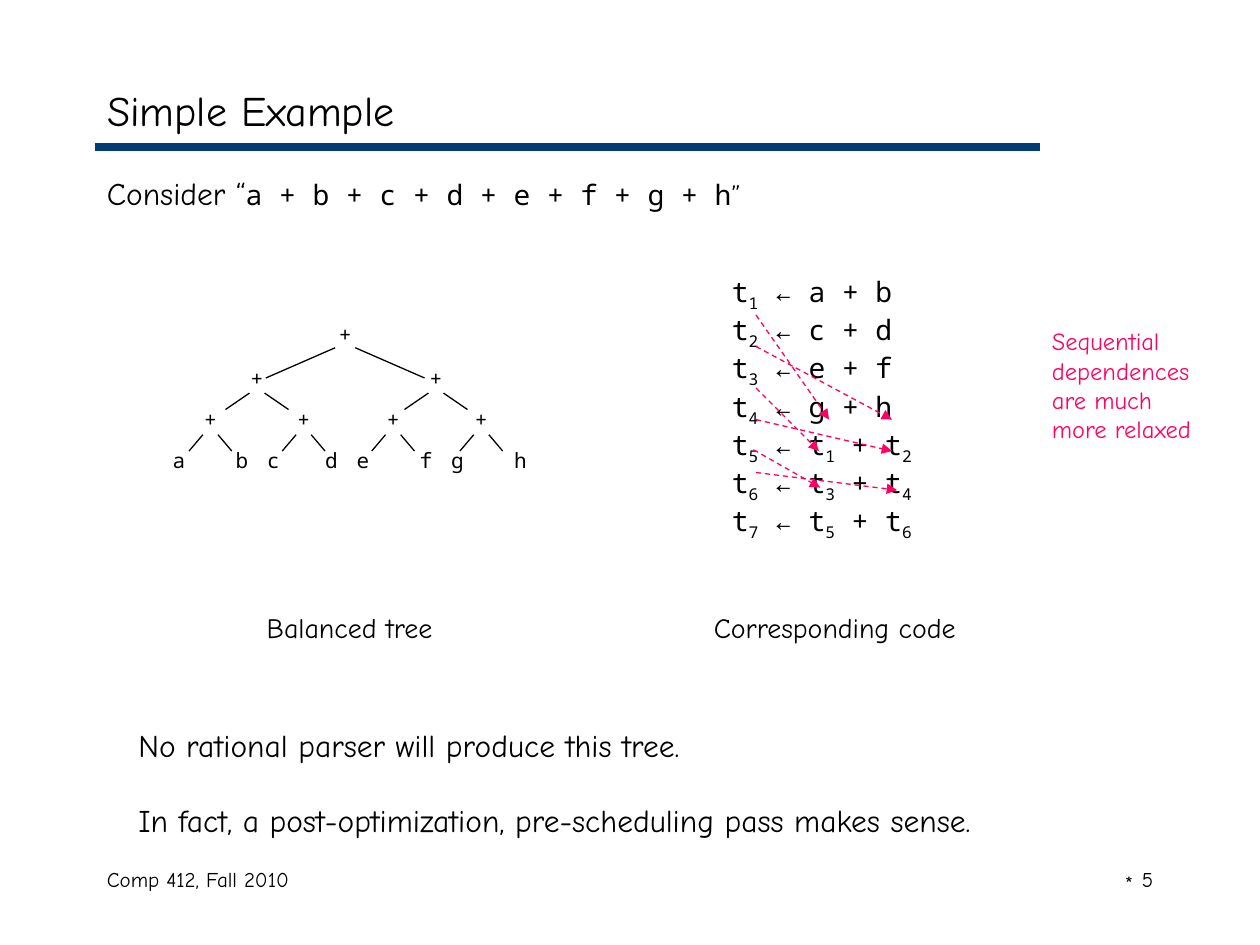
import itertools
from dataclasses import dataclass

import pptx
import pptx.dml.color
import pptx.enum.dml
import pptx.enum.shapes
import pptx.enum.text
import pptx.oxml
import pptx.oxml.ns
import pptx.util

Inches = pptx.util.Inches
Pt = pptx.util.Pt
ALIGN = pptx.enum.text.PP_ALIGN

COLORS = {"ink": "000000", "rule": "003C75", "dependence": "FF0065"}
PROSE, CODE = "Comic Neue", "Noto Sans Mono"


@dataclass
class Run:
    text: str
    size: float
    font: str = PROSE
    color: str = "ink"
    subscript: bool = False


@dataclass
class Line:
    start: tuple[float, float]
    end: tuple[float, float]
    color: str = "ink"
    width: float = 0.75
    arrow: bool = False


@dataclass
class TreeLevel:
    top: float
    centers: list[float]
    labels: str


@dataclass
class Branches:
    """Edges below one level: offsets from the parent's center, and heights."""
    start: float
    reach: float
    top: float
    bottom: float


def rgb(name: str) -> pptx.dml.color.RGBColor:
    return pptx.dml.color.RGBColor.from_string(COLORS[name])


def format_run(run, style: Run) -> None:
    run.font.name = style.font
    run.font.size = Pt(style.size)
    run.font.color.rgb = rgb(style.color)
    if style.subscript:
        run.font._element.set("baseline", "-25000")


def add_text(shapes, box: tuple[float, float, float, float],
             paragraphs: list[list[Run]], align=ALIGN.LEFT, gap: float = 0) -> None:
    frame = shapes.add_textbox(*map(Inches, box)).text_frame
    frame.word_wrap = True
    for index, runs in enumerate(paragraphs):
        paragraph = frame.add_paragraph() if index else frame.paragraphs[0]
        paragraph.alignment = align
        if index and gap:
            paragraph.space_before = Pt(gap)
        for style in runs:
            run = paragraph.add_run()
            run.text = style.text
            format_run(run, style)


def add_line(shapes, line: Line) -> None:
    connector = shapes.add_connector(
        pptx.enum.shapes.MSO_CONNECTOR.STRAIGHT,
        *map(Inches, line.start + line.end))
    connector.line.color.rgb = rgb(line.color)
    connector.line.width = Pt(line.width)
    if line.arrow:
        connector.line.dash_style = pptx.enum.dml.MSO_LINE.DASH
        namespace = pptx.oxml.ns.nsdecls("a")
        connector.line._get_or_add_ln().append(pptx.oxml.parse_xml(
            f'<a:tailEnd {namespace} type="triangle"/>'))
    properties = connector._element.spPr
    properties.append(properties.makeelement(pptx.oxml.ns.qn("a:effectLst"), {}))


def add_title(slide, text: str) -> None:
    title = slide.shapes.title
    title.left, title.top, title.width, title.height = map(
        Inches, (0.75, 0.58, 8.5, 0.58))
    frame = title.text_frame
    frame.text = text
    frame.vertical_anchor = pptx.enum.text.MSO_ANCHOR.MIDDLE
    frame.paragraphs[0].alignment = ALIGN.LEFT
    format_run(frame.paragraphs[0].runs[0], Run(text, 24))


def code_runs(statement: str) -> list[Run]:
    """Digits in a statement are the subscripts of temporaries."""
    return [Run("".join(part), 16, CODE, subscript=is_digit)
            for is_digit, part in itertools.groupby(statement, str.isdigit)]


def add_tree(shapes, levels: list[TreeLevel], branches: list[Branches]) -> None:
    label_width = 0.33
    for level in levels:
        for center, label in zip(level.centers, level.labels):
            add_text(shapes, (center - label_width / 2, level.top, label_width, 0.3),
                     [[Run(label, 12, CODE)]], ALIGN.CENTER)
    for level, branch in zip(levels, branches):
        for center, side in itertools.product(level.centers, (-1, 1)):
            add_line(shapes, Line((center + side * branch.start, branch.top),
                                  (center + side * branch.reach, branch.bottom)))


TREE_LEVELS = [
    TreeLevel(2.5, [2.74], "+"),
    TreeLevel(2.85, [2.04, 3.46], "++"),
    TreeLevel(3.18, [1.67, 2.41, 3.12, 3.82], "++++"),
    TreeLevel(3.5, [1.42, 1.92, 2.17, 2.63, 2.88, 3.38, 3.63, 4.13], "abcdefgh"),
]
TREE_BRANCHES = [
    Branches(0.08, 0.63, 2.76, 3),
    Branches(0.06, 0.25, 3.12, 3.25),
    Branches(0.06, 0.17, 3.45, 3.58),
]
STATEMENTS = [
    "t1 ← a + b",
    "t2 ← c + d",
    "t3 ← e + f",
    "t4 ← g + h",
    "t5 ← t1 + t2",
    "t6 ← t3 + t4",
    "t7 ← t5 + t6",
]
DEPENDENCES = [
    ((6, 2.5), (6.58, 3.33)),
    ((6, 2.75), (7.08, 3.33)),
    ((6, 3.08), (6.5, 3.58)),
    ((6, 3.33), (7.08, 3.58)),
    ((5.98, 3.57), (6.51, 3.87)),
    ((6, 3.75), (7.12, 3.89)),
]


def main() -> None:
    presentation = pptx.Presentation()
    presentation.slide_width, presentation.slide_height = Inches(10), Inches(7.5)
    slide = presentation.slides.add_slide(presentation.slide_layouts[5])
    shapes = slide.shapes

    # Heading and footer
    add_line(shapes, Line((0.75, 1.17), (8.25, 1.17), "rule", 4.5))
    add_title(slide, "Simple Example")
    add_text(shapes, (0.75, 6.83, 3.17, 0.5), [[Run("Comp 412, Fall 2010", 12)]])
    add_text(shapes, (7.17, 6.83, 2.08, 0.5), [[Run("5", 12)]], ALIGN.RIGHT)
    add_text(shapes, (8.83, 6.86, 0.83, 0.3), [[Run("*", 12)]])

    # Expression and conclusions
    add_text(shapes, (0.75, 1.33, 6.5, 0.4), [[
        Run("Consider “", 18),
        Run("a + b + c + d + e + f + g + h", 16, CODE),
        Run("”", 16)]])
    add_text(shapes, (1, 5.71, 8.17, 1), [
        [Run("No rational parser will produce this tree.", 18)],
        [Run("In fact, a post-optimization, pre-scheduling pass makes sense.", 18)],
    ], gap=21.5)

    # Balanced tree and its code
    add_tree(shapes.add_group_shape().shapes, TREE_LEVELS, TREE_BRANCHES)
    add_text(shapes, (5.71, 2.13, 1.83, 2.22), [code_runs(s) for s in STATEMENTS])
    for left, caption in ((1.4, "Balanced tree"), (5.25, "Corresponding code")):
        add_text(shapes, (left, 4.8, 2.75, 0.37), [[Run(caption, 16)]], ALIGN.CENTER)

    # Dependences between statements
    dependences = shapes.add_group_shape().shapes
    add_text(dependences, (8.25, 2.54, 1.42, 1.04), [[
        Run("Sequential dependences are much more relaxed", 14, color="dependence")]])
    for start, end in DEPENDENCES:
        add_line(dependences, Line(start, end, "dependence", arrow=True))

    presentation.save("out.pptx")


if __name__ == "__main__":
    main()
